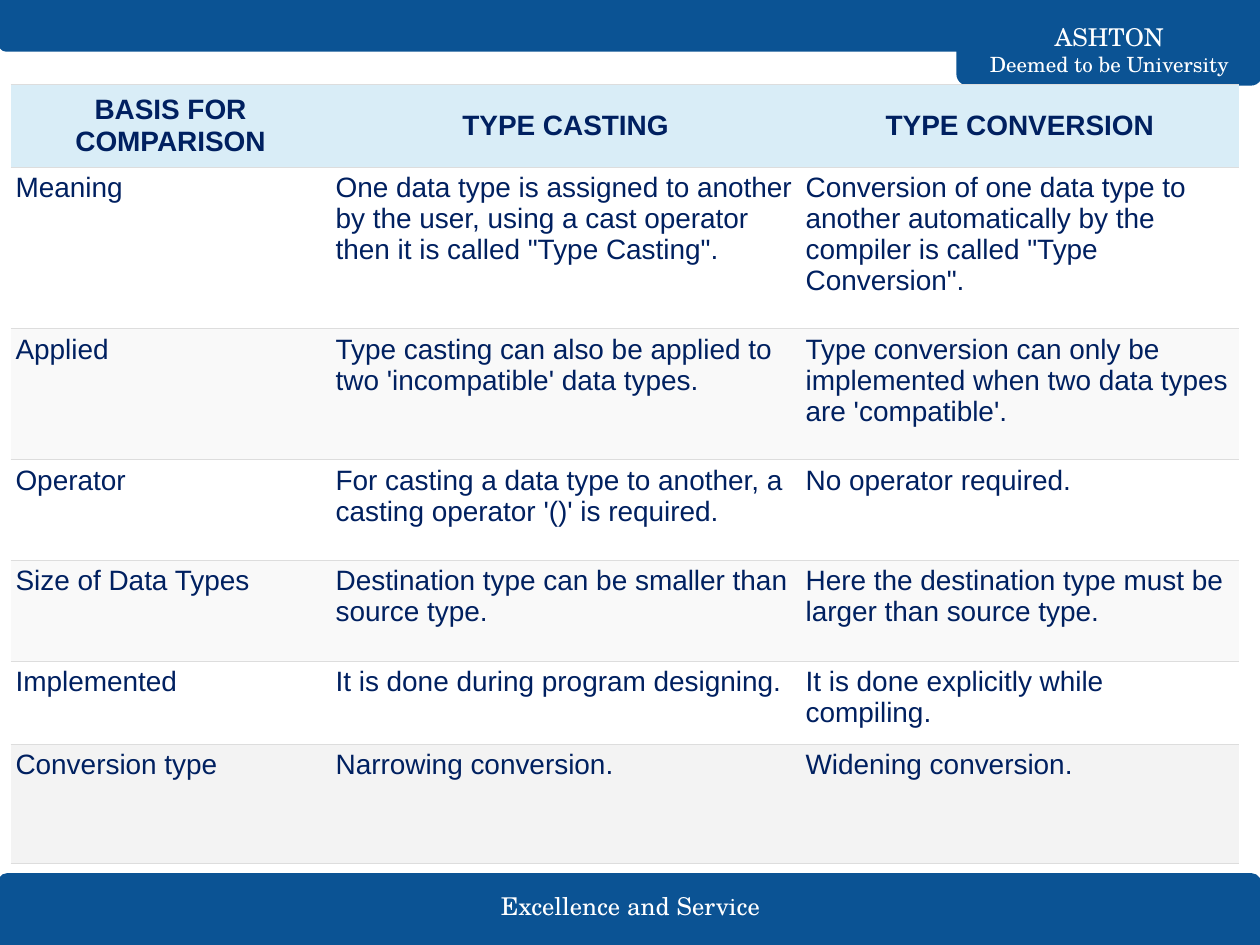
from lxml.etree import SubElement
from pptx import Presentation
from pptx.dml.color import RGBColor
from pptx.enum.shapes import MSO_SHAPE
from pptx.enum.text import MSO_ANCHOR, PP_ALIGN
from pptx.oxml.ns import qn
from pptx.util import Pt

COLORS = {
    "blue": "0B5394", "white": "FFFFFF", "navy": "002060", "header": "D9EDF7",
    "stripe": "F9F9F9", "last": "F3F3F3", "rule": "DDDDDD",
}
SERIF, SANS = "TeX Gyre Schola", "Arial"
COL_WIDTHS = [182.9, 268.6, 250.6]
ROW_HEIGHTS = [47.5, 92.2, 74.9, 57.6, 57.6, 47.5, 67.7]
ROW_FILLS = ["header", "white", "stripe", "white", "stripe", "white", "last"]
ROWS = [
    ["BASIS FOR COMPARISON", "TYPE CASTING", "TYPE CONVERSION"],
    ["Meaning",
     "One data type is assigned to another by the user, using a cast operator "
     "then it is called \"Type Casting\".",
     "Conversion of one data type to another automatically by the compiler "
     "is called \"Type Conversion\"."],
    ["Applied",
     "Type casting can also be applied to two 'incompatible' data types.",
     "Type conversion can only be implemented when two data types are 'compatible'."],
    ["Operator",
     "For casting a data type to another, a casting operator '()' is required.",
     "No operator required."],
    ["Size of Data Types",
     "Destination type can be smaller than source type.",
     "Here the destination type must be larger than source type."],
    ["Implemented",
     "It is done during program designing.",
     "It is done explicitly while compiling."],
    ["Conversion type", "Narrowing conversion.", "Widening conversion."],
]


def rgb(name):
    return RGBColor.from_string(COLORS[name])


def add_run(p, text, size, font, color, bold=False):
    r = p.add_run()
    r.text = text
    r.font.size = Pt(size)
    r.font.name = font
    r.font.bold = bold
    r.font.color.rgb = rgb(color)


def set_margins(box, points):
    box.margin_left = box.margin_right = Pt(points)
    box.margin_top = box.margin_bottom = Pt(points)


def add_band(s, left, top, width, height, rotation=0):
    sp = s.shapes.add_shape(MSO_SHAPE.ROUND_2_SAME_RECTANGLE,
                            Pt(left), Pt(top), Pt(width), Pt(height))
    sp.adjustments[0] = 0.125
    sp.adjustments[1] = 0
    sp.rotation = rotation
    sp.shadow.inherit = False
    sp.fill.solid()
    sp.fill.fore_color.rgb = rgb("blue")
    sp.line.color.rgb = rgb("blue")
    sp.line.width = Pt(1.5)


def add_label(s, left, top, width, height, lines):
    tf = s.shapes.add_textbox(Pt(left), Pt(top), Pt(width), Pt(height)).text_frame
    tf.word_wrap = True
    tf.vertical_anchor = MSO_ANCHOR.MIDDLE
    set_margins(tf, 7.2)
    p = tf.paragraphs[0]
    p.alignment = PP_ALIGN.CENTER
    for i, (text, size) in enumerate(lines):
        if i:
            p.add_line_break()
        add_run(p, text, size, SERIF, "white")


def set_borders(cell):
    tc_pr = cell._tc.get_or_add_tcPr()
    for side in ("L", "R", "T", "B"):
        ln = SubElement(tc_pr, qn(f"a:ln{side}"), w=str(Pt(0.6)))
        if side in "LR":
            SubElement(ln, qn("a:noFill"))
        else:
            fill = SubElement(ln, qn("a:solidFill"))
            SubElement(fill, qn("a:srgbClr"), val=COLORS["rule"])


def fill_cell(cell, text, fill, is_header):
    set_borders(cell)
    cell.fill.solid()
    cell.fill.fore_color.rgb = rgb(fill)
    set_margins(cell, 2.9)
    cell.vertical_anchor = MSO_ANCHOR.MIDDLE if is_header else MSO_ANCHOR.TOP
    p = cell.text_frame.paragraphs[0]
    p.alignment = PP_ALIGN.CENTER if is_header else PP_ALIGN.LEFT
    add_run(p, text, 16, SANS, "navy", is_header)


def add_comparison(s, left, top):
    table = s.shapes.add_table(len(ROWS), len(COL_WIDTHS), Pt(left), Pt(top),
                               Pt(sum(COL_WIDTHS)), Pt(sum(ROW_HEIGHTS))).table
    table.horz_banding = False
    for column, width in zip(table.columns, COL_WIDTHS):
        column.width = Pt(width)
    for i, (row, height) in enumerate(zip(table.rows, ROW_HEIGHTS)):
        row.height = Pt(height)
        for cell, text in zip(row.cells, ROWS[i]):
            fill_cell(cell, text, ROW_FILLS[i], i == 0)


def main():
    prs = Presentation()
    prs.slide_width, prs.slide_height = Pt(720), Pt(540)
    s = prs.slides.add_slide(prs.slide_layouts[6])
    add_band(s, -0.7, 499.7, 720.7, 40.3)
    add_label(s, 263.5, 506.2, 193.7, 23, [("Excellence and Service", 14)])
    add_band(s, 547.2, 0, 173.5, 48.2, 180)
    add_band(s, 0, 0, 720.7, 28.8, 180)
    add_label(s, 547.2, 19.4, 173.5, 18,
              [("ASHTON", 14), ("Deemed to be University", 12)])
    add_comparison(s, 6, 48.2)
    prs.save("out.pptx")


if __name__ == "__main__":
    main()
